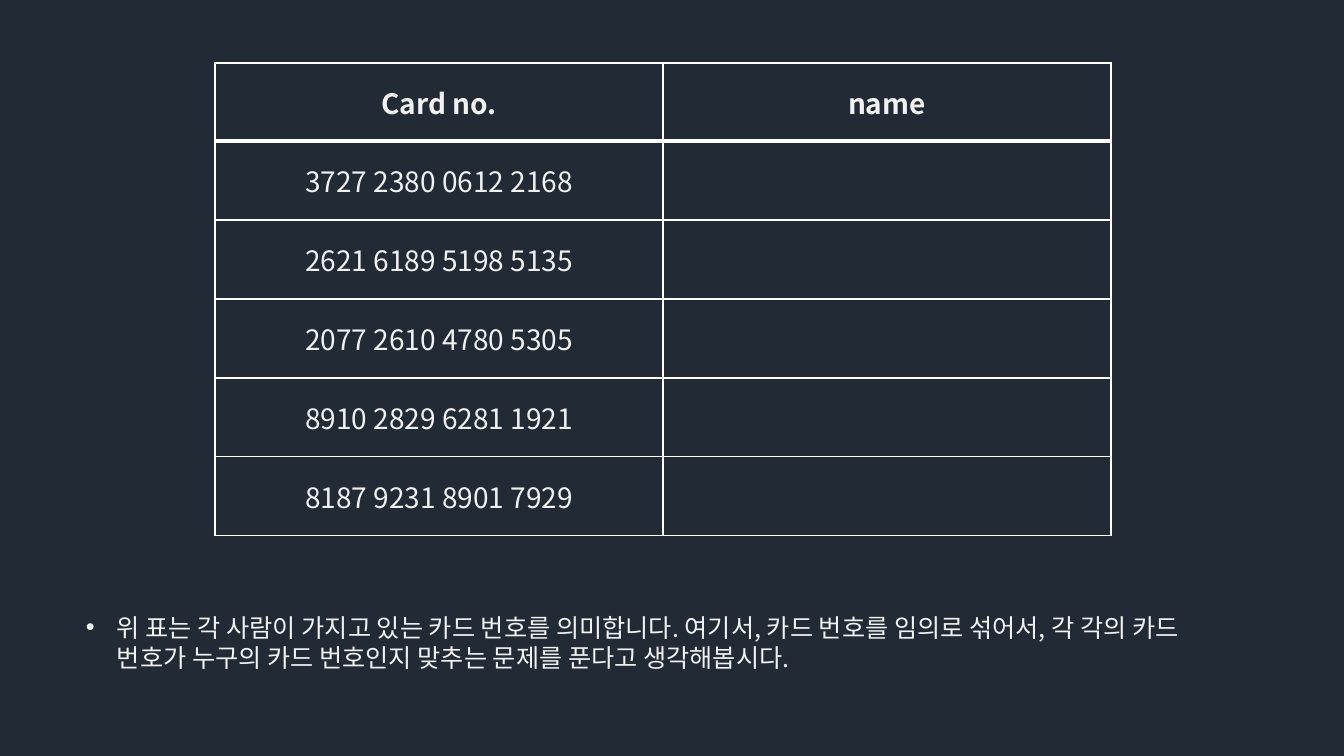
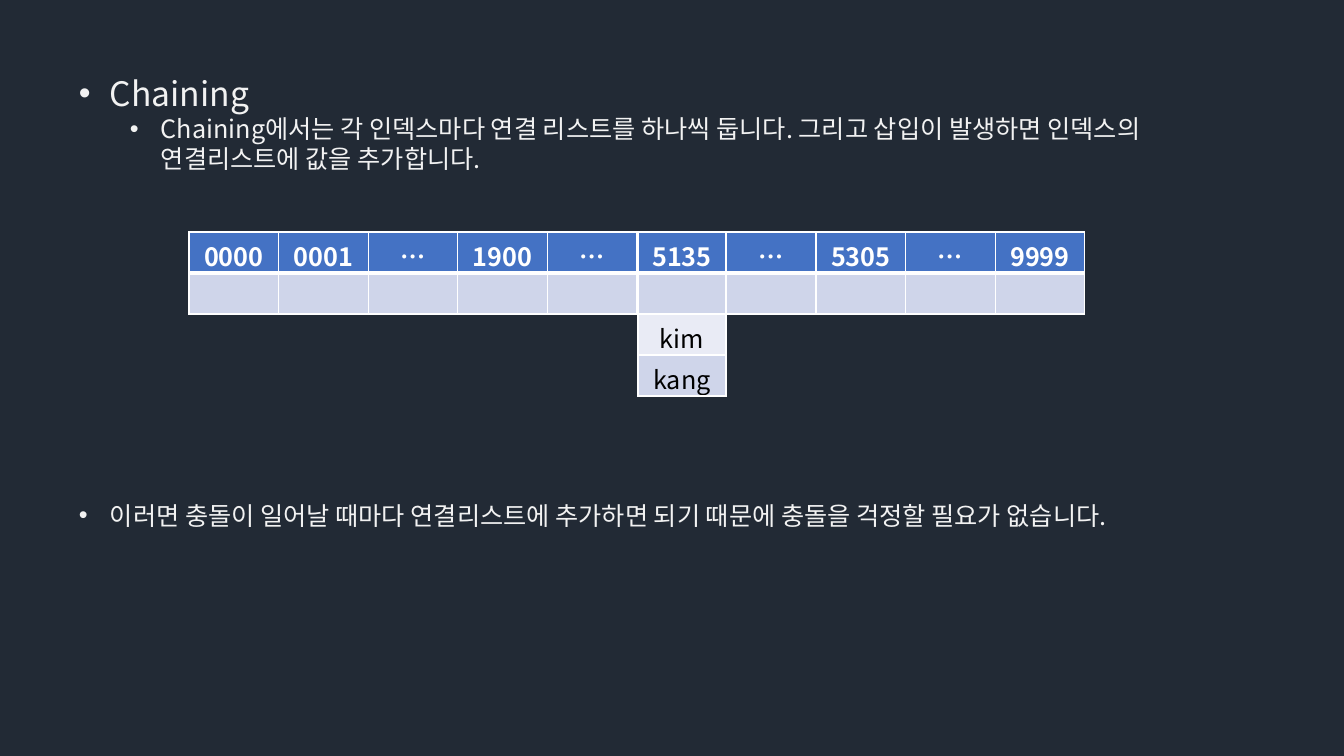
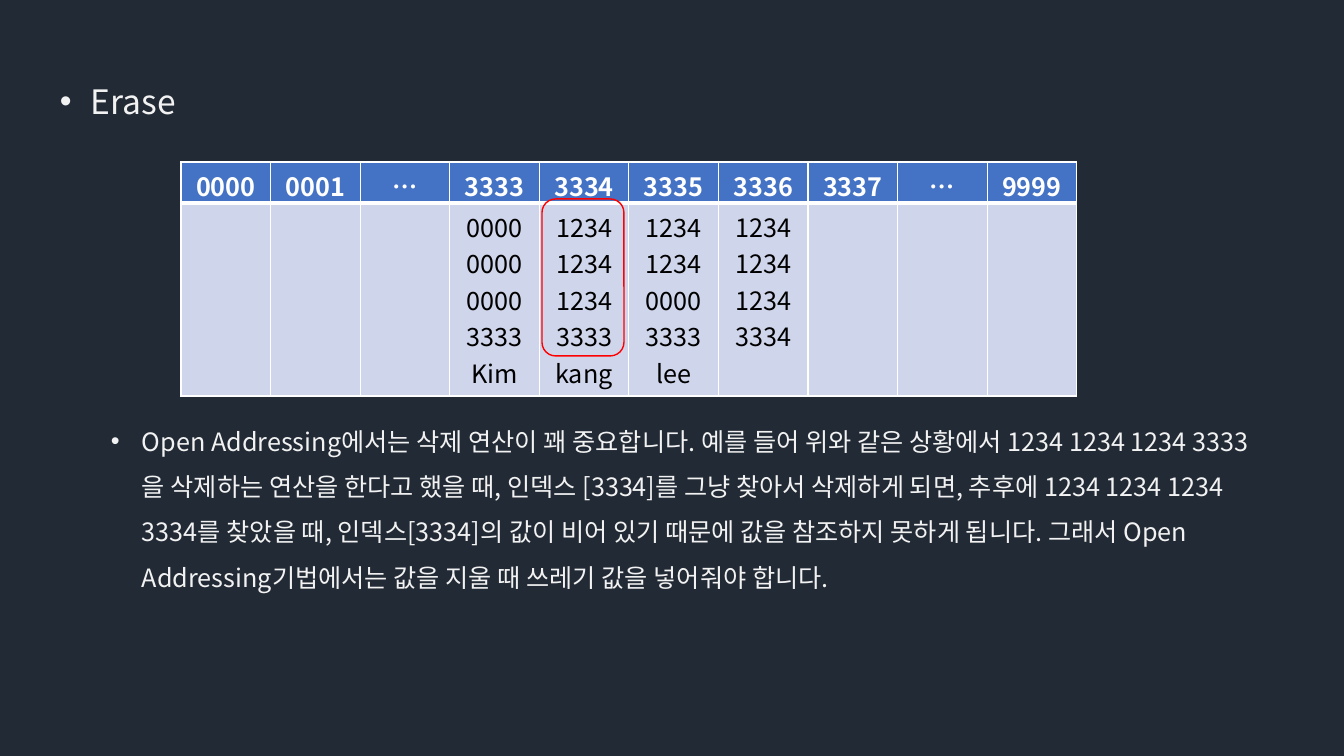
from dataclasses import dataclass

from lxml import etree
from pptx import Presentation
from pptx.dml.color import RGBColor
from pptx.enum.shapes import MSO_SHAPE
from pptx.enum.text import MSO_ANCHOR, MSO_AUTO_SIZE, PP_ALIGN
from pptx.oxml.ns import qn
from pptx.util import Emu, Pt

SLIDE_W, SLIDE_H = 1344, 756
EMU_PER_PX = 12192000 / SLIDE_W
FONT = "Noto Sans CJK KR"
COLORS = {
    "back": "222A35",
    "text": "F2F2F2",
    "white": "FFFFFF",
    "black": "000000",
    "header": "4472C4",
    "band": "CFD5EA",
    "light": "E9EBF5",
    "mark": "FF0000",
}
CENTER = PP_ALIGN.CENTER
TOP, MIDDLE = MSO_ANCHOR.TOP, MSO_ANCHOR.MIDDLE
FIT_SHAPE = MSO_AUTO_SIZE.SHAPE_TO_FIT_TEXT
ROUND_RECT = MSO_SHAPE.ROUNDED_RECTANGLE
BULLET_HANG = 31
LEVEL_INDENTS = (31, 82)
THIN, THICK = 1, 3
ROW_H = 41
STORED_ROW_H = 193


@dataclass(frozen=True)
class Bullet:
    """One bulleted paragraph."""
    text: str
    size: int = 18
    level: int = 0
    spacing: float | None = None


@dataclass(frozen=True)
class TableStyle:
    """Text and fill rules of a table; body fills repeat row by row."""
    size: int
    header_text: str
    body_text: str
    anchor: MSO_ANCHOR
    header_fill: str | None = None
    body_fills: tuple[str | None, ...] = (None,)
    bottom_margin: int = 5


@dataclass(frozen=True)
class Grid:
    """A table with equal columns; its first row is the header."""
    left: int
    top: int
    width: int
    row_heights: tuple[int, ...]
    rows: tuple[tuple[str, ...], ...]
    style: TableStyle


CARD_STYLE = TableStyle(20, "text", "text", MIDDLE)
HASH_STYLE = TableStyle(18, "white", "black", TOP, "header", ("band", "light"), 0)


def px(n: float) -> Emu:
    """Turn pixels into EMU."""
    return Emu(round(n * EMU_PER_PX))


def rgb(name: str) -> RGBColor:
    """Look up a named colour."""
    return RGBColor.from_string(COLORS[name])


def add_run(p, text: str, size: int, color: str, bold: bool = False) -> None:
    """Add one styled run, with the same font for Latin and Korean."""
    r = p.add_run()
    r.text = text
    r.font.name = FONT
    r.font.size = Pt(size)
    r.font.bold = bold
    r.font.color.rgb = rgb(color)
    ea = etree.SubElement(r.font._element, qn("a:ea"))
    ea.set("typeface", FONT)


def set_bullet(p, level: int) -> None:
    """Give a paragraph a hanging round bullet."""
    p.level = level
    pPr = p._p.get_or_add_pPr()
    pPr.set("marL", str(px(LEVEL_INDENTS[level])))
    pPr.set("indent", str(px(-BULLET_HANG)))
    etree.SubElement(pPr, qn("a:buFont")).set("typeface", "Arial")
    etree.SubElement(pPr, qn("a:buChar")).set("char", "•")


def add_bullets(s, left: int, top: int, width: int, height: int,
                bullets: list[Bullet]) -> None:
    """Add a text box of bulleted paragraphs."""
    tf = s.shapes.add_textbox(px(left), px(top), px(width), px(height)).text_frame
    tf.word_wrap = True
    tf.auto_size = FIT_SHAPE
    for i, bullet in enumerate(bullets):
        p = tf.add_paragraph() if i else tf.paragraphs[0]
        if bullet.spacing:
            p.line_spacing = bullet.spacing
        set_bullet(p, bullet.level)
        add_run(p, bullet.text, bullet.size, "text")


def set_borders(cell, top: int, bottom: int) -> None:
    """Draw white borders round a cell, thin at its sides."""
    tcPr = cell._tc.get_or_add_tcPr()
    widths = {"lnL": THIN, "lnR": THIN, "lnT": top, "lnB": bottom}
    for tag, width in widths.items():
        ln = etree.SubElement(tcPr, qn(f"a:{tag}"), w=str(Pt(width)))
        fill = etree.SubElement(ln, qn("a:solidFill"))
        etree.SubElement(fill, qn("a:srgbClr"), val=COLORS["white"])


def style_cell(cell, text: str, row: int, style: TableStyle) -> None:
    """Fill, frame and write one cell."""
    header = row == 0
    set_borders(cell, THICK if row == 1 else THIN, THICK if header else THIN)
    fills = style.body_fills
    fill = style.header_fill if header else fills[(row - 1) % len(fills)]
    if fill:
        cell.fill.solid()
        cell.fill.fore_color.rgb = rgb(fill)
    else:
        cell.fill.background()
    cell.vertical_anchor = style.anchor
    cell.margin_bottom = px(style.bottom_margin)
    p = cell.text_frame.paragraphs[0]
    p.alignment = CENTER
    if text:
        color = style.header_text if header else style.body_text
        add_run(p, text, style.size, color, header)


def add_grid(s, grid: Grid) -> None:
    """Add a table with equal columns."""
    n_cols = len(grid.rows[0])
    table = s.shapes.add_table(
        len(grid.rows), n_cols, px(grid.left), px(grid.top),
        px(grid.width), px(sum(grid.row_heights))).table
    table.first_row = table.horz_banding = False
    for col in table.columns:
        col.width = px(grid.width / n_cols)
    for i, (height, texts) in enumerate(zip(grid.row_heights, grid.rows)):
        table.rows[i].height = px(height)
        for j, text in enumerate(texts):
            style_cell(table.cell(i, j), text, i, grid.style)


def add_mark(s, left: int, top: int, width: int, height: int) -> None:
    """Add a rounded red outline."""
    sp = s.shapes.add_shape(ROUND_RECT, px(left), px(top), px(width), px(height))
    sp.shadow.inherit = False
    sp.fill.background()
    sp.line.color.rgb = rgb("mark")
    sp.line.width = Pt(1)


def add_slide(prs):
    """Add a blank slide with the dark background."""
    s = prs.slides.add_slide(prs.slide_layouts[6])
    s.background.fill.solid()
    s.background.fill.fore_color.rgb = rgb("back")
    return s


def build_cards(prs) -> None:
    """Build the card number table."""
    s = add_slide(prs)
    numbers = ("3727 2380 0612 2168", "2621 6189 5198 5135", "2077 2610 4780 5305",
               "8910 2829 6281 1921", "8187 9231 8901 7929")
    rows = (("Card no.", "name"), *((number, "") for number in numbers))
    add_grid(s, Grid(215, 63, 896, (78,) + (79,) * len(numbers), rows, CARD_STYLE))
    add_bullets(s, 76, 607, 1174, 72, [Bullet(
        "위 표는 각 사람이 가지고 있는 카드 번호를 의미합니다. 여기서, 카드 번호를 "
        "임의로 섞어서, 각 각의 카드 번호가 누구의 카드 번호인지 맞추는 문제를 "
        "푼다고 생각해봅시다.")])


def build_chaining(prs) -> None:
    """Build the chaining slide."""
    s = add_slide(prs)
    add_bullets(s, 69, 68, 1174, 173, [
        Bullet("Chaining", 24),
        Bullet("Chaining에서는 각 인덱스마다 연결 리스트를 하나씩 둡니다. 그리고 "
               "삽입이 발생하면 인덱스의 연결리스트에 값을 추가합니다.", level=1)])
    add_bullets(s, 69, 495, 1174, 40, [Bullet(
        "이러면 충돌이 일어날 때마다 연결리스트에 추가하면 되기 때문에 충돌을 "
        "걱정할 필요가 없습니다.")])
    indexes = ("0000", "0001", "…", "1900", "…", "5135", "…", "5305", "…", "9999")
    add_grid(s, Grid(189, 232, 896, (ROW_H,) * 2,
                     (indexes, ("",) * len(indexes)), HASH_STYLE))
    chain = (("5135",), ("",), ("kim",), ("kang",))
    add_grid(s, Grid(638, 232, 88, (ROW_H,) * len(chain), chain, HASH_STYLE))


def build_erase(prs) -> None:
    """Build the erase slide."""
    s = add_slide(prs)
    add_bullets(s, 50, 406, 1214, 187, [Bullet(
        "Open Addressing에서는 삭제 연산이 꽤 중요합니다. 예를 들어 위와 같은 "
        "상황에서 1234 1234 1234 3333을 삭제하는 연산을 한다고 했을 때, 인덱스 "
        "[3334]를 그냥 찾아서 삭제하게 되면, 추후에 1234 1234 1234 3334를 찾았을 "
        "때, 인덱스[3334]의 값이 비어 있기 때문에 값을 참조하지 못하게 됩니다. "
        "그래서 Open Addressing기법에서는 값을 지울 때 쓰레기 값을 넣어줘야 합니다.",
        level=1, spacing=1.5)])
    indexes = ("0000", "0001", "…", "3333", "3334", "3335", "3336", "3337", "…", "9999")
    stored = {
        "3333": "0000 0000 0000 3333 Kim",
        "3334": "1234 1234 1234 3333 kang",
        "3335": "1234 1234 0000 3333 lee",
        "3336": "1234 1234 1234 3334",
    }
    values = tuple(stored.get(index, "") for index in indexes)
    add_grid(s, Grid(181, 162, 896, (ROW_H, STORED_ROW_H), (indexes, values), HASH_STYLE))
    add_bullets(s, 50, 56, 1174, 64, [Bullet("Erase", 24, spacing=1.5)])
    add_mark(s, 542, 199, 82, 157)


def main() -> None:
    """Build and save the slides."""
    prs = Presentation()
    prs.slide_width, prs.slide_height = px(SLIDE_W), px(SLIDE_H)
    build_cards(prs)
    build_chaining(prs)
    build_erase(prs)
    prs.save("out.pptx")


main()
